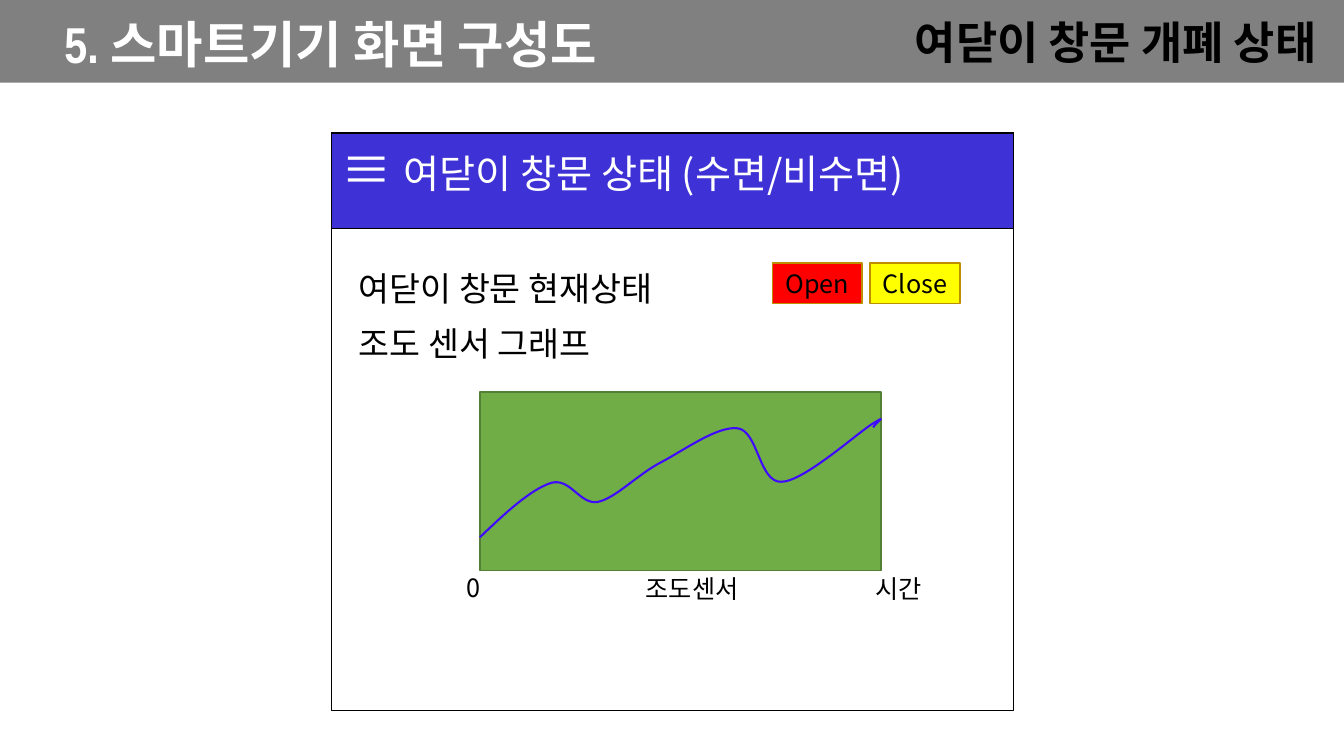
from dataclasses import dataclass

from lxml import etree
from pptx import Presentation
from pptx.dml.color import RGBColor
from pptx.enum.shapes import MSO_SHAPE
from pptx.enum.text import MSO_ANCHOR, PP_ALIGN
from pptx.oxml.ns import qn
from pptx.util import Inches, Pt

RECTANGLE = MSO_SHAPE.RECTANGLE
TOP, MIDDLE = MSO_ANCHOR.TOP, MSO_ANCHOR.MIDDLE
LEFT, CENTER, RIGHT = PP_ALIGN.LEFT, PP_ALIGN.CENTER, PP_ALIGN.RIGHT

BODY_FONT, TITLE_FONT = "Noto Sans CJK KR", "Arial Narrow"
BLACK, WHITE = "000000", "FFFFFF"


@dataclass(frozen=True)
class Box:
    left: float
    top: float
    width: float
    height: float

    def lengths(self) -> tuple:
        return tuple(map(Inches, (self.left, self.top, self.width, self.height)))


@dataclass(frozen=True)
class Panel:
    box: Box
    fill: str
    line: str | None = None


@dataclass(frozen=True)
class Style:
    size: float
    color: str = BLACK
    align: PP_ALIGN = LEFT
    anchor: MSO_ANCHOR = TOP
    font: str = BODY_FONT
    bold: bool = False
    spacing: float = 1.0


@dataclass(frozen=True)
class Label:
    text: str
    box: Box
    style: Style


HEADING = Style(24)
AXIS = Style(18)
AXIS_CENTER = Style(18, align=CENTER)
BUTTON = Style(18, align=CENTER, anchor=MIDDLE)
APP_BAR = Style(28, WHITE)
TITLE = Style(36, WHITE, LEFT, MIDDLE, TITLE_FONT, True, 0.9)
SUBTITLE = Style(32, BLACK, RIGHT, MIDDLE, TITLE_FONT, True, 0.9)

SCREEN = Panel(Box(3.29, 1.32, 6.76, 5.73), WHITE, BLACK)
SCREEN_BAR = Panel(Box(3.29, 1.32, 6.76, 0.95), "3E32D6", BLACK)
GRAPH = Panel(Box(4.76, 3.89, 3.98, 1.77), "70AD47", "538035")
TITLE_BAND = Panel(Box(0, 0, 13.33, 0.82), "808080")

BUTTON_LINE = "BD8E00"
BUTTONS = [("Open", "FF0000"), ("Close", "FFFF00")]
BUTTON_LEFT, BUTTON_PITCH = 7.66, 0.97

SCREEN_LABELS = [
    Label("여닫이 창문 현재상태", Box(3.46, 2.61, 3.77, 0.5), HEADING),
    Label("조도 센서 그래프", Box(3.46, 3.15, 4.2, 0.5), HEADING),
    Label("시간", Box(8.58, 5.64, 1.01, 0.4), AXIS),
    Label("0", Box(4.53, 5.63, 0.41, 0.4), AXIS),
    Label("조도센서", Box(5.89, 5.64, 1.95, 0.4), AXIS_CENTER),
]
TITLE_LABELS = [
    Label("5. 스마트기기 화면 구성도", Box(0.54, -0.26, 11.5, 1.45), TITLE),
    Label("여닫이 창문 개폐 상태", Box(1.66, -0.28, 11.5, 1.45), SUBTITLE),
]

# Start point, then two control points and an end point per curve
LIGHT_CURVE = [
    (4.76, 5.33),
    (5.01, 5.09), (5.27, 4.85), (5.47, 4.79),
    (5.66, 4.74), (5.75, 5.01), (5.93, 4.98),
    (6.11, 4.94), (6.32, 4.71), (6.55, 4.59),
    (6.78, 4.47), (7.12, 4.22), (7.32, 4.25),
    (7.52, 4.28), (7.53, 4.79), (7.75, 4.78),
    (7.97, 4.78), (8.51, 4.29), (8.66, 4.2),
    (8.81, 4.11), (8.7, 4.18), (8.66, 4.24),
]


def rgb(color: str) -> RGBColor:
    return RGBColor.from_string(color)


def write_text(shape, style: Style, *runs: tuple[str, float | None]) -> None:
    """Write one paragraph; a run's size, if given, overrides the style."""
    frame = shape.text_frame
    frame.word_wrap = True
    frame.vertical_anchor = style.anchor
    paragraph = frame.paragraphs[0]
    paragraph.alignment = style.align
    paragraph.line_spacing = style.spacing
    font = paragraph.font
    font.size, font.bold, font.name = Pt(style.size), style.bold, style.font
    font.color.rgb = rgb(style.color)
    defaults = paragraph._p.pPr.find(qn("a:defRPr"))
    etree.SubElement(defaults, qn("a:ea")).set("typeface", BODY_FONT)
    for text, size in runs:
        run = paragraph.add_run()
        run.text = text
        if size:
            run.font.size = Pt(size)


def add_panel(slide, panel: Panel):
    shape = slide.shapes.add_shape(RECTANGLE, *panel.box.lengths())
    shape.shadow.inherit = False
    shape.fill.solid()
    shape.fill.fore_color.rgb = rgb(panel.fill)
    if panel.line:
        shape.line.color.rgb = rgb(panel.line)
        shape.line.width = Pt(1)
    else:
        shape.line.fill.background()
    return shape


def add_label(slide, label: Label) -> None:
    textbox = slide.shapes.add_textbox(*label.box.lengths())
    write_text(textbox, label.style, (label.text, None))


def add_curve(slide, points: list[tuple[float, float]], color: str) -> None:
    """Draw a freeform whose points after the first form cubic curves."""
    start, *rest = [(Inches(x), Inches(y)) for x, y in points]
    builder = slide.shapes.build_freeform(*start)
    builder.add_line_segments(rest, close=False)
    curve = builder.convert_to_shape()
    curve.shadow.inherit = False
    curve.fill.background()
    curve.line.color.rgb = rgb(color)
    curve.line.width = Pt(1.5)
    outline = next(curve._element.iter(qn("a:path")))
    segments = outline.findall(qn("a:lnTo"))
    for first in range(0, len(segments), 3):
        bezier = etree.SubElement(outline, qn("a:cubicBezTo"))
        for segment in segments[first:first + 3]:
            bezier.append(segment[0])
            outline.remove(segment)


def main() -> None:
    presentation = Presentation()
    presentation.slide_width = Inches(13.33)
    presentation.slide_height = Inches(7.5)
    slide = presentation.slides.add_slide(presentation.slide_layouts[6])

    add_panel(slide, SCREEN)
    add_panel(slide, SCREEN_BAR)
    app_bar = slide.shapes.add_textbox(*Box(3.29, 1.32, 6.75, 0.71).lengths())
    write_text(app_bar, APP_BAR, ("≡ ", 36), ("여닫이 창문 상태 (수면/비수면)", None))

    for index, (caption, fill) in enumerate(BUTTONS):
        box = Box(BUTTON_LEFT + index * BUTTON_PITCH, 2.61, 0.89, 0.4)
        button = add_panel(slide, Panel(box, fill, BUTTON_LINE))
        write_text(button, BUTTON, (caption, None))

    add_panel(slide, GRAPH)
    for label in SCREEN_LABELS:
        add_label(slide, label)
    add_curve(slide, LIGHT_CURVE, "3F0BFD")

    add_panel(slide, TITLE_BAND)
    for label in TITLE_LABELS:
        add_label(slide, label)

    presentation.save("out.pptx")


if __name__ == "__main__":
    main()
